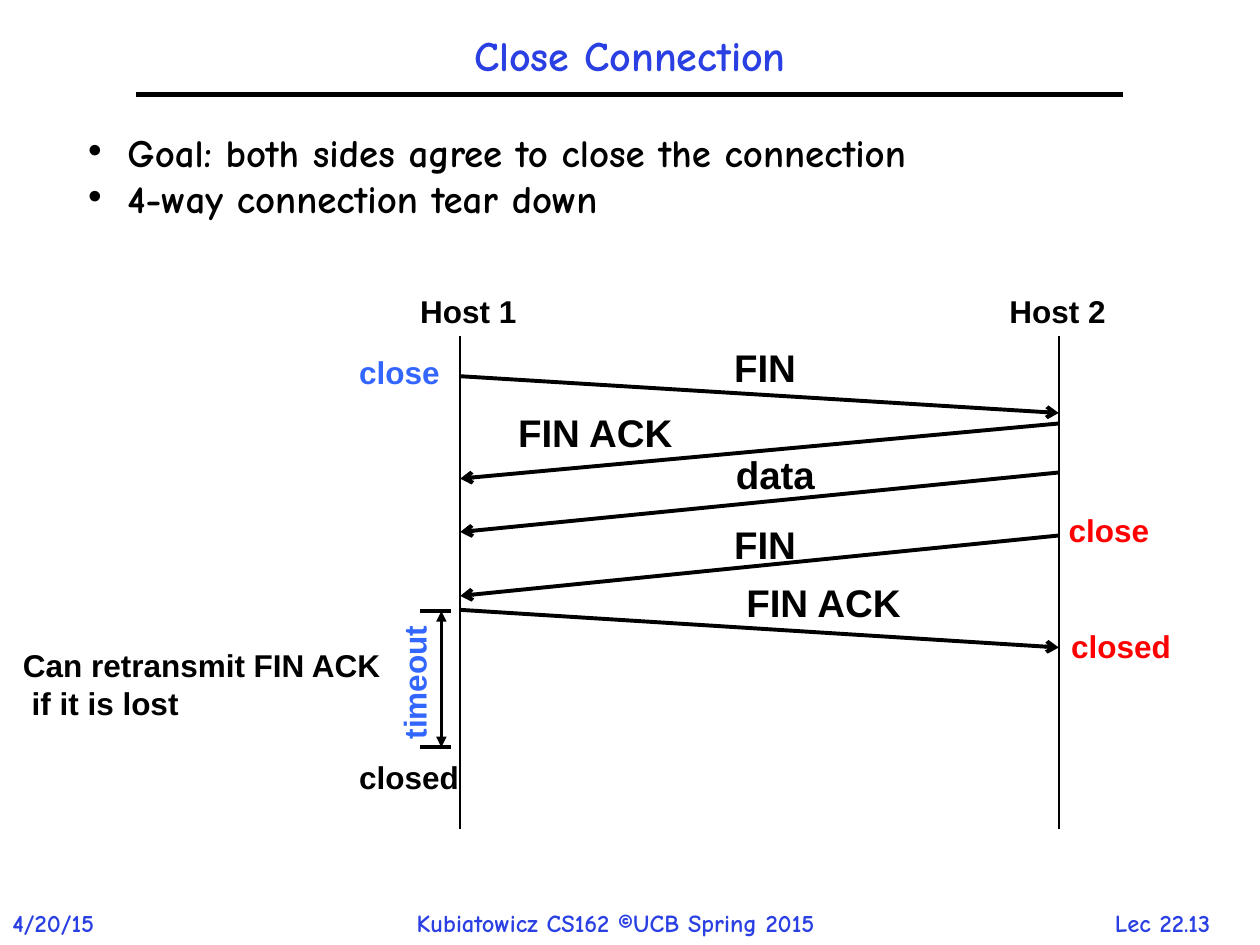
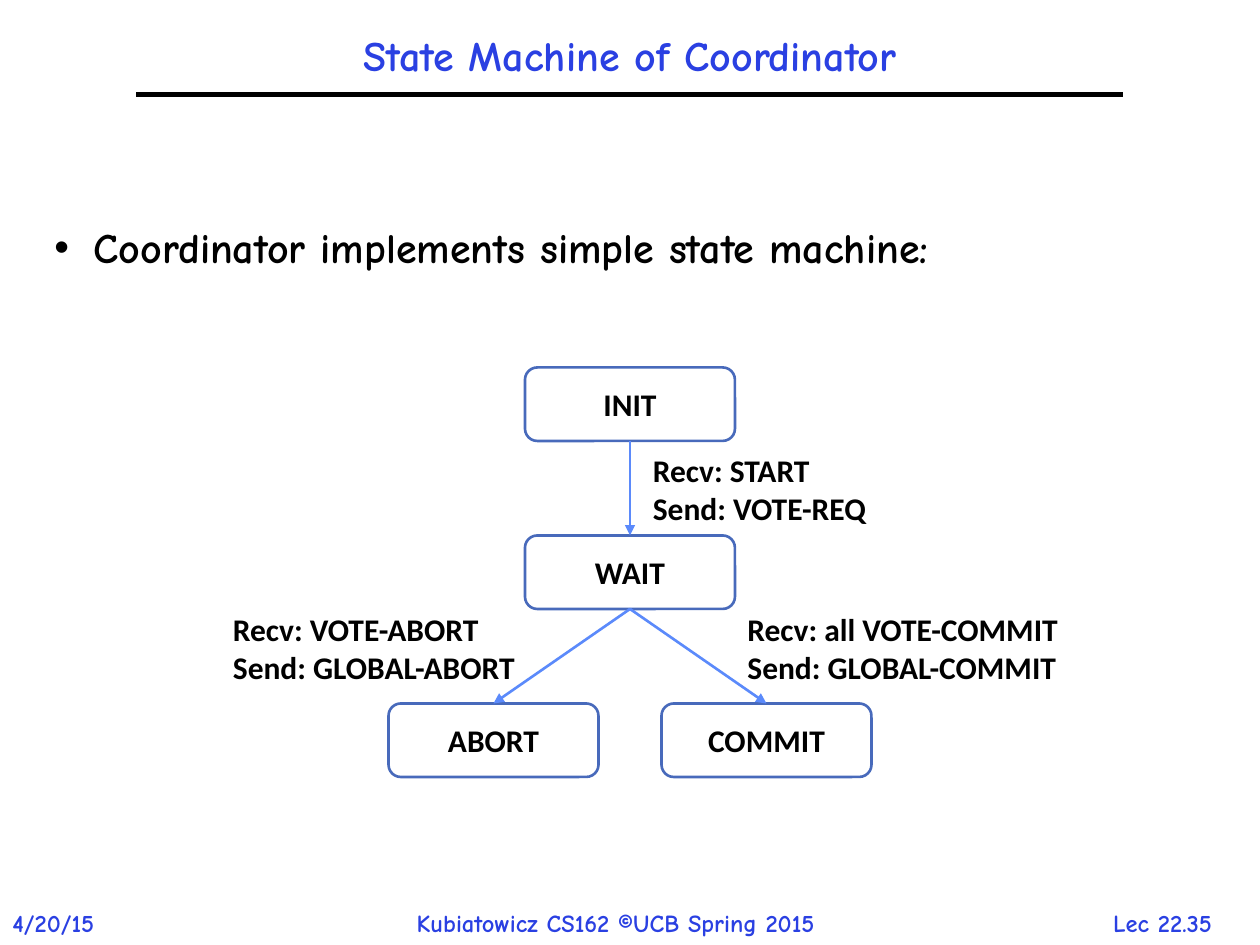
from lxml.etree import SubElement
from pptx import Presentation
from pptx.dml.color import RGBColor
from pptx.enum.shapes import MSO_CONNECTOR, MSO_SHAPE
from pptx.enum.text import MSO_ANCHOR, MSO_AUTO_SIZE, PP_ALIGN
from pptx.oxml.ns import qn
from pptx.util import Pt

BLACK = RGBColor(0x00, 0x00, 0x00)
INK = RGBColor(0x2A, 0x40, 0xE2)
BLUE = RGBColor(0x33, 0x66, 0xFF)
RED = RGBColor(0xFF, 0x00, 0x00)
EDGE = RGBColor(0x48, 0x6A, 0xBB)
ARROW = RGBColor(0x5B, 0x8A, 0xFB)

TITLE = {"name": "Comic Neue", "size": Pt(24), "bold": True}
FOOT = {**TITLE, "size": Pt(14)}
LABEL = {"name": "Arial", "size": Pt(18), "bold": True}
SIGNAL = {**LABEL, "size": Pt(22)}
STATE = {**LABEL, "name": "Calibri"}
PAD = (7.2, 3.6)


def fill(frame, text, look, color, align=PP_ALIGN.LEFT, pad=PAD):
    """Put styled text into a frame."""
    frame.text = text
    frame.margin_left = frame.margin_right = Pt(pad[0])
    frame.margin_top = frame.margin_bottom = Pt(pad[1])
    for para in frame.paragraphs:
        para.alignment = align
        for run in para.runs:
            run.font.color.rgb = color
            for key, value in look.items():
                setattr(run.font, key, value)


def note(slide, text, box, look=LABEL, color=BLACK, wrap=False, **more):
    """Add a text box that fits its text."""
    shape = slide.shapes.add_textbox(*map(Pt, box))
    fill(shape.text_frame, text, look, color, **more)
    shape.text_frame.word_wrap = wrap
    shape.text_frame.auto_size = MSO_AUTO_SIZE.SHAPE_TO_FIT_TEXT
    return shape


def stroke(slide, start, end, width, color=BLACK, **ends):
    """Draw a straight line with optional headEnd and tailEnd arrowheads."""
    line = slide.shapes.add_connector(MSO_CONNECTOR.STRAIGHT, *map(Pt, (*start, *end)))
    line.line.color.rgb = color
    line.line.width = Pt(width)
    props = line.line._get_or_add_ln()
    for tag, kind in ends.items():
        SubElement(props, qn("a:" + tag), type=kind)
    SubElement(line._element.spPr, qn("a:effectLst"))


def page(deck, title, number):
    """Add a slide with the shared title, rule and footer."""
    slide = deck.slides.add_slide(deck.slide_layouts[5])
    head = slide.shapes.title
    spots = {"left": 78, "top": 12, "width": 564, "height": 42}
    for key, value in spots.items():
        setattr(head, key, Pt(value))
    fill(head.text_frame, title, TITLE, INK, PP_ALIGN.CENTER)
    head.text_frame.vertical_anchor = MSO_ANCHOR.MIDDLE
    head.text_frame.paragraphs[0].line_spacing = 0.9
    stroke(slide, (78, 54), (642, 54), 3)
    for text, left, width, align in (
        ("4/20/15", 0, 72, PP_ALIGN.LEFT),
        ("Kubiatowicz CS162 ©UCB Spring 2015", 231, 279, PP_ALIGN.LEFT),
        (number, 616.3, 96, PP_ALIGN.CENTER),
    ):
        note(slide, text, (left, 515.5, width, 24), FOOT, INK, align=align)
    return slide


def points(slide, box, lines, size, pitch):
    """Add a bulleted list."""
    shape = slide.shapes.add_textbox(*map(Pt, box))
    frame = shape.text_frame
    frame.word_wrap = True
    fill(frame, "\n".join(lines), {**TITLE, "size": Pt(size)}, BLACK)
    for para in frame.paragraphs:
        para.line_spacing = pitch
        para.space_before = Pt(0.35 * size)
        props = para._p.get_or_add_pPr()
        props.set("marL", str(Pt(22.5)))
        props.set("indent", str(-Pt(22.5)))
        SubElement(props, qn("a:buFont"), typeface="Arial")
        SubElement(props, qn("a:buChar"), char="•")


def signals(slide, box):
    """Draw the messages exchanged between two hosts."""
    left, top, width, height = box
    right = left + width
    for text, east, start, end, dx, dy, wide in (
        ("FIN", True, 23, 44, 150, 1.5, 49),
        ("FIN ACK", False, 50, 81.5, 26.6, 39, 103),
        ("data", False, 78, 112, 151, 63, 59),
        ("FIN", False, 114, 148.5, 150, 102.5, 49),
        ("FIN ACK", True, 156.5, 178, 157, 135.6, 103),
    ):
        tail, tip = (left, right) if east else (right, left)
        stroke(slide, (tail, top + start), (tip, top + end), 2.25, tailEnd="arrow")
        note(slide, text, (left + dx, top + dy, wide, 33), SIGNAL, pad=(6.5, 3))
    for edge in (left, right):
        stroke(slide, (edge, top), (edge, top + height), 1)
    for text, dx, dy, wide, tall, color in (
        ("Host 1", -30, -28.8, 70, 28.8, BLACK),
        ("Host 2", 306.7, -28.8, 70, 28.8, BLACK),
        ("Can retransmit FIN ACK\v if it is lost", -257, 173.8, 229, 51, BLACK),
        ("close", -64.8, 6, 61, 28.8, BLUE),
        ("close", 340.6, 96.7, 61, 28.8, RED),
        ("closed", 342, 163, 72, 28.8, RED),
        ("closed", -64.8, 237.8, 72, 28.8, BLACK),
    ):
        note(slide, text, (left + dx, top + dy, wide, tall), color=color)
    timeout(slide, (left - 23, top + 157.2, 18, 77.8))


def timeout(slide, box):
    """Draw the span between two bars with its upright label."""
    left, top, width, height = box
    for y in (top, top + height):
        stroke(slide, (left, y), (left + width, y), 2)
    mid = left + 12.2
    stroke(slide, (mid, top + height), (mid, top), 2,
           headEnd="triangle", tailEnd="triangle")
    label = note(slide, "timeout", (left - 44, top + 25.2, 81.4, 28.8), color=BLUE)
    label.rotation = 270


def states(slide, box):
    """Draw the state machine as three rows of boxes."""
    left, top, width, height = box
    wide, tall = 120, 42
    step = (height - tall) / 2
    mid, side = left + width / 2, (width - wide) / 2
    spots = {"INIT": (mid, top), "WAIT": (mid, top + step),
             "ABORT": (mid - side, top + 2 * step),
             "COMMIT": (mid + side, top + 2 * step)}
    for name, (x, y) in spots.items():
        shape = slide.shapes.add_shape(
            MSO_SHAPE.ROUNDED_RECTANGLE, *map(Pt, (x - wide / 2, y, wide, tall)))
        shape.shadow.inherit = False
        shape.fill.background()
        shape.line.color.rgb = EDGE
        shape.line.width = Pt(1.5)
        shape.text_frame.vertical_anchor = MSO_ANCHOR.MIDDLE
        fill(shape.text_frame, name, STATE, BLACK, PP_ALIGN.CENTER, (0, 0))
    for start, end in (("INIT", "WAIT"), ("WAIT", "ABORT"), ("WAIT", "COMMIT")):
        x, y = spots[start]
        stroke(slide, (x, y + tall), spots[end], 1.5, ARROW, tailEnd="triangle")
    for recv, send, dx, dy, span in (
        ("START", "VOTE-REQ", 6, 44, 180),
        ("VOTE-ABORT", "GLOBAL-ABORT", -234, 135, 228),
        ("all VOTE-COMMIT", "GLOBAL-COMMIT", 60, 135, 228),
    ):
        note(slide, f"Recv: {recv}\nSend: {send}",
             (mid + dx, top + dy, span, 51), STATE, wrap=True)


def main():
    """Build both slides and save the deck."""
    deck = Presentation()
    deck.slide_width, deck.slide_height = Pt(720), Pt(540)

    close = page(deck, "Close Connection", "Lec 22.13")
    points(close, (43.2, 77, 564, 54),
           ("Goal: both sides agree to close the connection",
            "4-way connection tear down"), 22.2, 0.7)
    signals(close, (263, 192, 342, 282))

    machine = page(deck, "State Machine of Coordinator", "Lec 22.35")
    points(machine, (24, 126, 648, 356),
           ("Coordinator implements simple state machine:",), 24, 0.9)
    states(machine, (222, 210, 276, 234))

    deck.save("out.pptx")


main()
